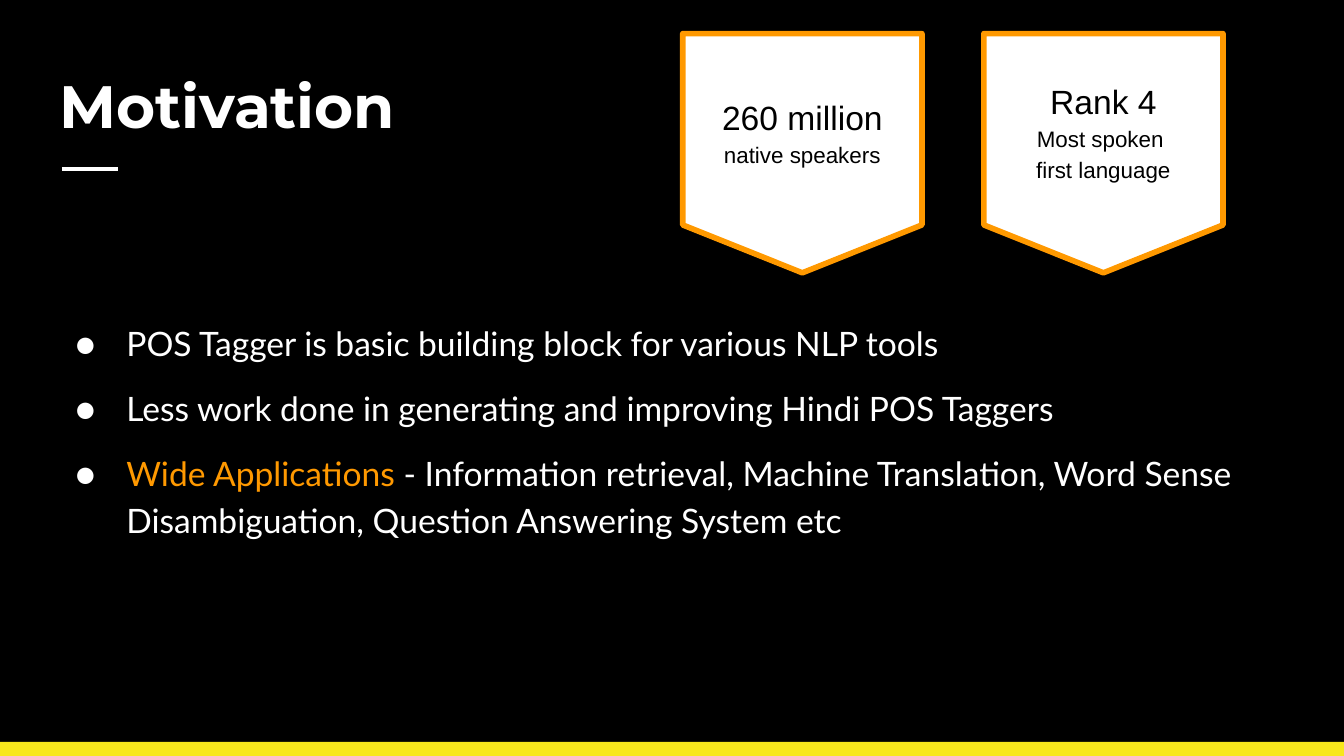
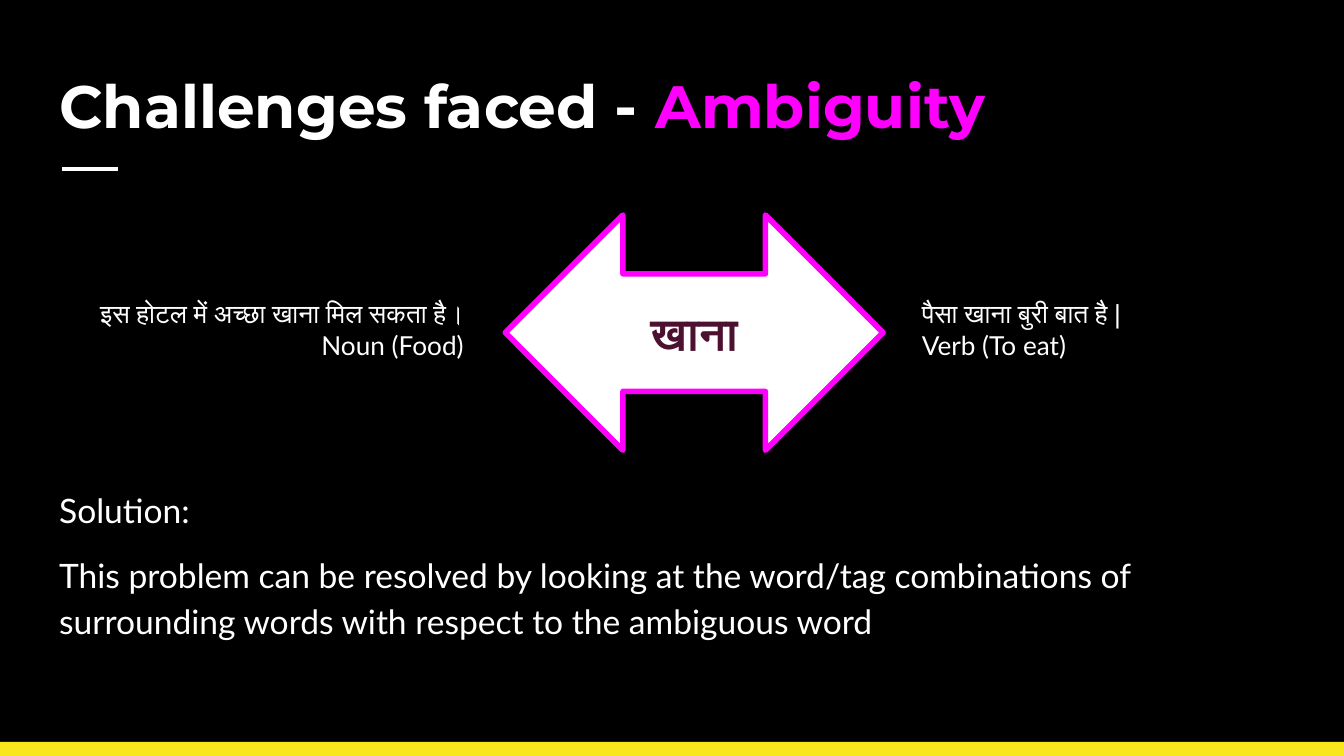
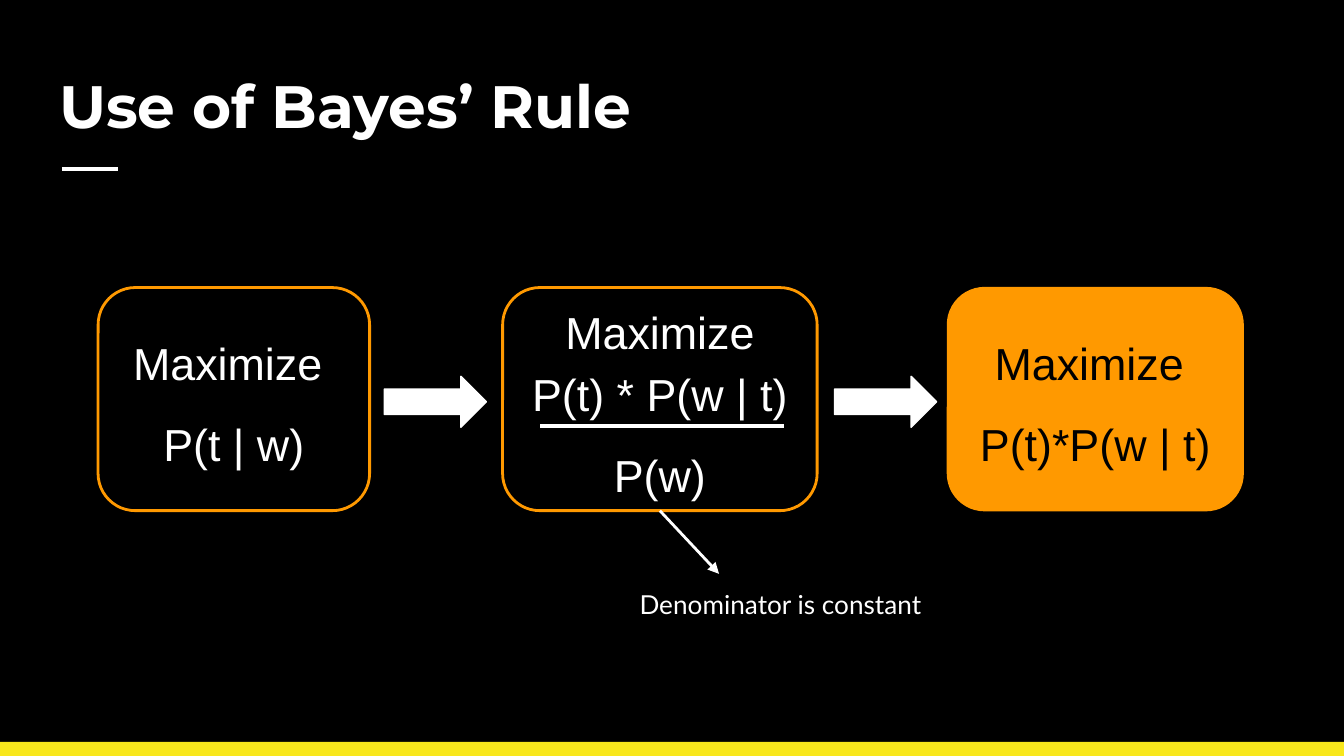
"""Build three slides on part-of-speech tagging for Hindi."""
from typing import NamedTuple, Optional, Union

from lxml import etree
from pptx import Presentation
from pptx import util as u
from pptx.dml.color import RGBColor
from pptx.enum import shapes, text
from pptx.oxml.ns import qn

PX = 4572
BLACK = RGBColor(0x00, 0x00, 0x00)
WHITE = RGBColor(0xFF, 0xFF, 0xFF)
YELLOW = RGBColor(0xF8, 0xE7, 0x1C)
ORANGE = RGBColor(0xFF, 0x99, 0x00)
MAGENTA = RGBColor(0xFF, 0x00, 0xFF)
PLUM = RGBColor(0x4C, 0x11, 0x30)
SHAPE = shapes.MSO_SHAPE
ALIGN = text.PP_ALIGN
ANCHOR = text.MSO_ANCHOR
TITLE_ONLY, TITLE_BODY = 5, 1
INSET = 20


class Box(NamedTuple):
    x: int
    y: int
    w: int
    h: int


class Run(NamedTuple):
    text: str
    color: Optional[RGBColor] = None
    size: Optional[int] = None


class Badge(NamedTuple):
    x: int
    paras: list


class Example(NamedTuple):
    box: Box
    align: int
    sentence: str
    reading: str


class Step(NamedTuple):
    x: int
    w: int
    head: str
    tail: str
    tail_spacing: float = 1.15
    tail_before: int = 10
    filled: bool = False


TITLE = Box(68, 82, 1864, 142)
BAND = Box(0, 1104, 2000, 21)


def px(n: int) -> u.Emu:
    return u.Emu(n * PX)


def place(sp, box: Box) -> None:
    sp.left, sp.top, sp.width, sp.height = map(px, box)


def prepare(sp, anchor=ANCHOR.TOP):
    tf = sp.text_frame
    tf.word_wrap = True
    tf.auto_size = text.MSO_AUTO_SIZE.NONE
    tf.vertical_anchor = anchor
    tf.margin_left = tf.margin_top = tf.margin_right = tf.margin_bottom = px(INSET)
    return tf


def add_para(tf, *runs: Union[str, Run], size: int = 18, font: str = "Lato",
             color: RGBColor = WHITE, bold: bool = False, align=ALIGN.LEFT,
             spacing: float = 1.0, before: int = 0, after: int = 0,
             bullet: Optional[str] = None) -> None:
    first = not tf.text
    p = tf.paragraphs[0] if first else tf.add_paragraph()
    pPr = p._p.get_or_add_pPr()
    pPr.set("marL", str(px(100) if bullet else 0))
    pPr.set("indent", str(px(-76) if bullet else 0))
    if bullet:
        clr = etree.SubElement(pPr, qn("a:buClr"))
        etree.SubElement(clr, qn("a:srgbClr"), val=str(color))
        etree.SubElement(pPr, qn("a:buFont"), typeface=font)
        etree.SubElement(pPr, qn("a:buChar"), char=bullet)
    else:
        etree.SubElement(pPr, qn("a:buNone"))
    p.alignment = align
    p.line_spacing = spacing
    p.space_before = u.Pt(0 if first else before)
    p.space_after = u.Pt(after)
    for item in runs:
        run = Run(item) if isinstance(item, str) else item
        r = p.add_run()
        r.text = run.text
        r.font.name = font
        r.font.size = u.Pt(run.size or size)
        r.font.bold = bold
        r.font.color.rgb = run.color or color


def add_box(s, kind, box: Box, fill: Optional[RGBColor] = None,
            line: Optional[RGBColor] = None, width: float = 0.75):
    sp = s.shapes.add_shape(kind, *map(px, box))
    sp.shadow.inherit = False
    if fill is None:
        sp.fill.background()
    else:
        sp.fill.solid()
        sp.fill.fore_color.rgb = fill
    if line is None:
        sp.line.fill.background()
    else:
        sp.line.color.rgb = line
        sp.line.width = u.Pt(width)
    return sp


def add_line(s, x1: int, y1: int, x2: int, y2: int, width: float = 2.25,
             arrow: bool = False):
    c = s.shapes.add_connector(shapes.MSO_CONNECTOR.STRAIGHT, *map(px, (x1, y1, x2, y2)))
    c.line.color.rgb = WHITE
    c.line.width = u.Pt(width)
    spPr = c._element.spPr
    if arrow:
        etree.SubElement(spPr.find(qn("a:ln")), qn("a:tailEnd"), type="triangle")
    etree.SubElement(spPr, qn("a:effectLst"))
    return c


def add_textbox(s, box: Box):
    return prepare(s.shapes.add_textbox(*map(px, box)))


def add_slide(prs, layout: int, *title: Union[str, Run]):
    s = prs.slides.add_slide(prs.slide_layouts[layout])
    add_box(s, SHAPE.RECTANGLE, BAND, YELLOW)
    add_line(s, 92, 252, 176, 252)
    place(s.shapes.title, TITLE)
    add_para(prepare(s.shapes.title), *title, size=32, font="Montserrat", bold=True)
    return s


def body(s, box: Box):
    sp = s.placeholders[1]
    place(sp, box)
    return prepare(sp)


def motivation(prs) -> None:
    s = add_slide(prs, TITLE_BODY, "Motivation")
    tf = body(s, Box(68, 452, 1864, 582))
    points = [
        ["POS Tagger is basic building block for various NLP tools"],
        ["Less work done in generating and improving Hindi POS Taggers"],
        [Run("Wide Applications", ORANGE),
         " - Information retrieval, Machine Translation, Word Sense "
         "Disambiguation, Question Answering System etc"],
    ]
    for runs in points:
        add_para(tf, *runs, spacing=1.15, before=10, bullet="●")
    badges = [
        Badge(1016, [["260 million ", Run("native speakers", size=12)]]),
        Badge(1464, [["Rank 4"], [Run("Most spoken ", size=12)],
                     [Run("first language", size=12)]]),
    ]
    for badge in badges:
        sp = add_box(s, SHAPE.FLOWCHART_OFFPAGE_CONNECTOR, Box(badge.x, 50, 356, 356),
                     WHITE, ORANGE, 3)
        tf = prepare(sp, ANCHOR.MIDDLE)
        for runs in badge.paras:
            add_para(tf, *runs, font="Arial", color=BLACK, align=ALIGN.CENTER, spacing=1.15)


def ambiguity(prs) -> None:
    s = add_slide(prs, TITLE_BODY, "Challenges faced - ", Run("Ambiguity", MAGENTA))
    sp = add_box(s, SHAPE.LEFT_RIGHT_ARROW, Box(752, 320, 562, 350), WHITE, MAGENTA, 3)
    add_para(prepare(sp, ANCHOR.MIDDLE), "खाना", size=24, color=PLUM, bold=True,
             align=ALIGN.CENTER)
    examples = [
        Example(Box(58, 416, 652, 256), ALIGN.RIGHT,
                "इस होटल में अच्छा खाना मिल सकता है।", "Noun (Food)"),
        Example(Box(1352, 416, 584, 256), ALIGN.LEFT,
                "पैसा खाना बुरी बात है |", "Verb (To eat)"),
    ]
    for example in examples:
        tf = add_textbox(s, example.box)
        add_para(tf, example.sentence, size=14, font="Arial", align=example.align,
                 spacing=1.15)
        add_para(tf, example.reading, size=14, align=example.align)
    tf = body(s, Box(68, 700, 1864, 300))
    add_para(tf, "Solution:", spacing=1.15)
    add_para(tf, "This problem can be resolved by looking at the word/tag combinations of "
             "surrounding words with respect to the ambiguous word",
             spacing=1.15, before=10, after=10)


def bayes_rule(prs) -> None:
    s = add_slide(prs, TITLE_ONLY, "Use of Bayes’ Rule")
    steps = [
        Step(146, 404, "Maximize ", "P(t | w)"),
        Step(748, 468, "Maximize P(t) * P(w | t)", "P(w)", 1.5, 0),
        Step(1410, 440, "Maximize ", "P(t)*P(w | t)", filled=True),
    ]
    boxes = []
    for step in steps:
        sp = add_box(s, SHAPE.ROUNDED_RECTANGLE, Box(step.x, 428, step.w, 332),
                     ORANGE if step.filled else None, ORANGE, 0.75 if step.filled else 1.5)
        tf = prepare(sp, ANCHOR.MIDDLE)
        style = dict(size=24, font="Arial", align=ALIGN.CENTER,
                     color=BLACK if step.filled else WHITE)
        add_para(tf, step.head, spacing=1.15, **style)
        add_para(tf, step.tail, spacing=step.tail_spacing, before=step.tail_before, **style)
        boxes.append(sp)
    for x in (572, 1242):
        add_box(s, SHAPE.RIGHT_ARROW, Box(x, 560, 152, 76), WHITE, WHITE)
    add_line(s, 804, 634, 1166, 634)
    pointer = add_line(s, 982, 760, 1070, 854, 1.5, arrow=True)
    pointer.begin_connect(boxes[1], 2)
    add_para(add_textbox(s, Box(932, 856, 564, 76)), "Denominator is constant", size=14)


def main() -> None:
    prs = Presentation()
    prs.slide_width, prs.slide_height = px(2000), px(1125)
    fill = prs.slide_master.background.fill
    fill.solid()
    fill.fore_color.rgb = BLACK
    motivation(prs)
    ambiguity(prs)
    bayes_rule(prs)
    prs.save("out.pptx")


if __name__ == "__main__":
    main()
